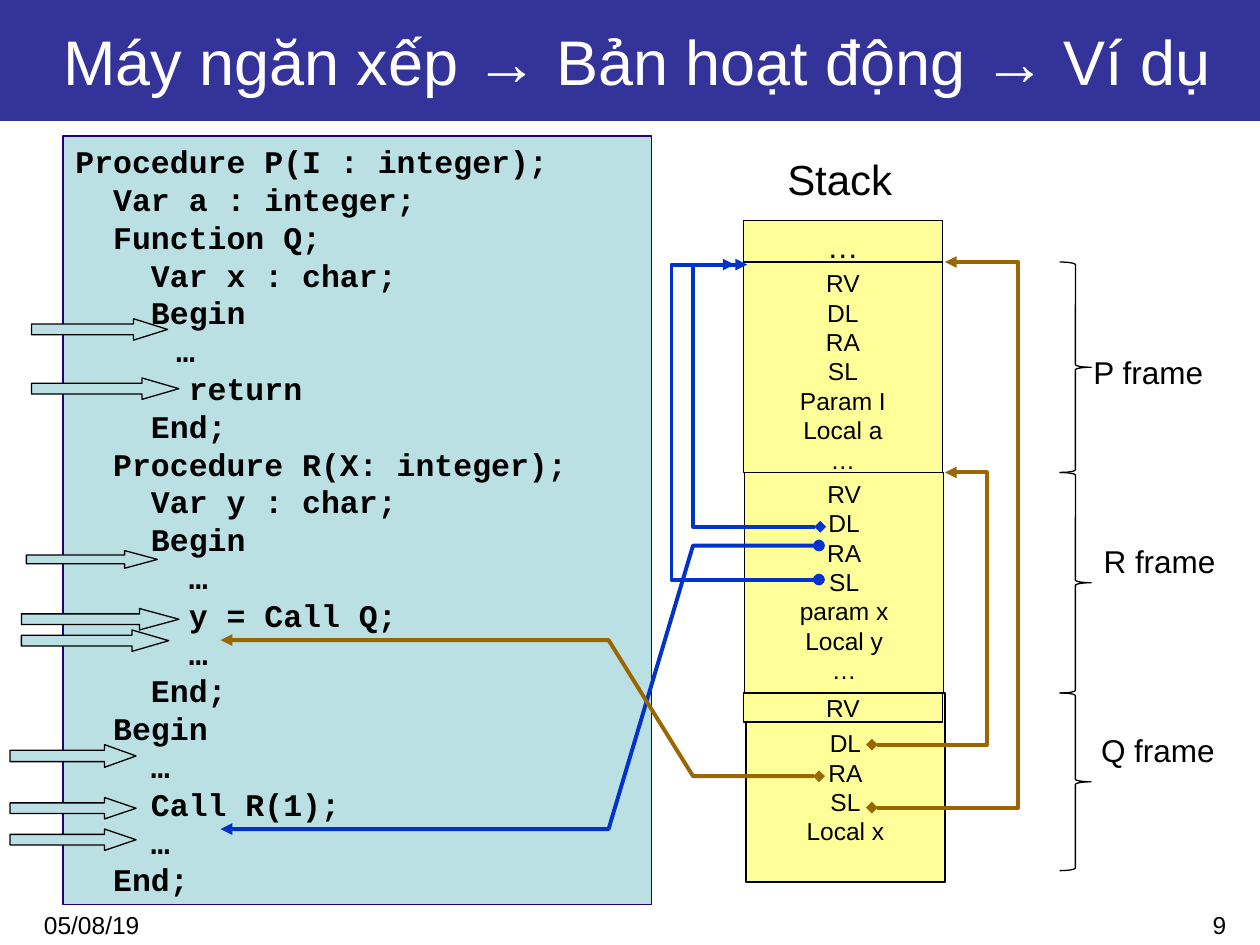
"""Build the stack machine activation record slide."""
from lxml.etree import SubElement
from pptx import Presentation
from pptx.dml.color import RGBColor
from pptx.enum.shapes import MSO_SHAPE as SHAPE
from pptx.enum.text import MSO_ANCHOR as ANCHOR, PP_ALIGN as ALIGN
from pptx.oxml.ns import qn
from pptx.util import Inches, Pt

rgb = RGBColor.from_string


def paint(s, fill=None, line="000000", width=0.75):
    s.shadow.inherit = False
    if fill:
        s.fill.solid()
        s.fill.fore_color.rgb = rgb(fill)
    else:
        s.fill.background()
    s.line.color.rgb = rgb(line)
    s.line.width = Pt(width)


def write(s, text, size, align=ALIGN.LEFT, font="Arial", bold=False, wrap=True, top=0.05):
    tf = s.text_frame
    tf.word_wrap = wrap
    tf.vertical_anchor = ANCHOR.TOP
    tf.margin_top = Inches(top)
    for i, line in enumerate(text.split("\n")):
        p = tf.add_paragraph() if i else tf.paragraphs[0]
        p.text = line
        p.alignment = align
        if "\t" in line:
            tabs = SubElement(p._p.get_or_add_pPr(), qn("a:tabLst"))
            SubElement(tabs, qn("a:tab"), pos=str(Inches(0.5)), algn="l")
        p.font.name = font
        p.font.size = Pt(size)
        p.font.bold = bold
        p.font.color.rgb = rgb("000000")


prs = Presentation()
prs.slide_width, prs.slide_height = Inches(10), Inches(7.5)
slide = prs.slides.add_slide(prs.slide_layouts[5])
sp = slide.shapes

title = sp.title
title.left, title.top, title.width, title.height = 0, 0, Inches(10), Inches(0.96)
title.fill.solid()
title.fill.fore_color.rgb = rgb("333399")
tf = title.text_frame
tf.text = "Máy ngăn xếp → Bản hoạt động → Ví dụ"
tf.margin_left = Inches(0.5)
tf.vertical_anchor = ANCHOR.MIDDLE
p = tf.paragraphs[0]
p.alignment = ALIGN.LEFT
p.font.name = "Arial"
p.font.size = Pt(36)
p.font.color.rgb = rgb("FFFFFF")

code = """Procedure P(I : integer);
  Var a : integer;
  Function Q;
    Var x : char;
    Begin
\t  …
      return
    End;
  Procedure R(X: integer);
    Var y : char;
    Begin
      …
      y = Call Q;
      …
    End;
  Begin
    …
    Call R(1);
    …
  End;"""
s = sp.add_shape(SHAPE.RECTANGLE, Inches(0.5), Inches(1.08), Inches(4.67), Inches(6.1))
paint(s, "BBE0E3", "270076")
write(s, code, 18, font="Courier New", bold=True)

step_arrows = [
    (0.25, 2.53, 1.08, 0.17), (0.25, 3, 1.17, 0.17), (0.21, 4.37, 1.04, 0.14),
    (0.17, 4.83, 1.25, 0.17), (0.17, 5, 1.17, 0.17), (0.08, 5.91, 1, 0.18),
    (0.08, 6.33, 1, 0.17), (0.08, 6.58, 1, 0.17),
]
for x, y, w, h in step_arrows:
    s = sp.add_shape(SHAPE.RIGHT_ARROW, Inches(x), Inches(y), Inches(w), Inches(h))
    s.adjustments[1] = w / 4 / h
    paint(s, "BBE0E3")

stack_cells = [
    (5.9, 1.75, 0.33, "…", 18, 0.05),
    (5.9, 2.08, 1.67, "RV\nDL\nRA\nSL\nParam I\nLocal a\n…", 14, 0.05),
    (5.91, 3.75, 1.75, "RV\nDL\nRA\nSL\nparam x\nLocal y\n…", 14, 0.05),
    (5.92, 5.5, 1.5, "DL\nRA\nSL\nLocal x", 14, 0.28),
    (5.9, 5.5, 0.23, "RV", 14, 0),
]
for x, y, h, text, size, top in stack_cells:
    s = sp.add_shape(SHAPE.RECTANGLE, Inches(x), Inches(y), Inches(1.58), Inches(h))
    paint(s, "FFFF99")
    write(s, text, size, ALIGN.CENTER, top=top)
    s.text_frame.margin_bottom = Inches(min(top, 0.05))

for y, h in [(2.08, 1.67), (3.75, 1.75), (5.5, 1.41)]:
    s = sp.add_shape(SHAPE.RIGHT_BRACE, Inches(8.41), Inches(y), Inches(0.25), Inches(h))
    paint(s)

labels = [
    (6, 1.17, 1.33, 0.5, "Stack", 24, ALIGN.CENTER, True),
    (8.58, 2.75, 1.07, 0.4, "P frame", 18, ALIGN.LEFT, False),
    (8.66, 4.25, 1.09, 0.4, "R frame", 18, ALIGN.LEFT, False),
    (8.64, 5.75, 1.1, 0.4, "Q frame", 18, ALIGN.LEFT, False),
    (0.25, 7.17, 1.92, 0.33, "05/08/19", 14, ALIGN.LEFT, True),
    (7.75, 7.17, 2.08, 0.24, "9", 14, ALIGN.RIGHT, True),
]
for x, y, w, h, text, size, align, wrap in labels:
    s = sp.add_textbox(Inches(x), Inches(y), Inches(w), Inches(h))
    write(s, text, size, align, wrap=wrap)

blue, brown = "0033CC", "996600"
links = [
    (blue, "diamond", [(6.51, 4.18), (5.5, 4.18), (5.5, 2.1), (5.93, 2.1)]),
    (blue, "oval", [(6.5, 4.6), (5.33, 4.6), (5.33, 2.1), (5.83, 2.1)]),
    (blue, "oval", [(6.5, 4.33), (5.5, 4.33), (4.83, 6.58), (1.75, 6.58)]),
    (brown, "diamond", [(6.5, 6.16), (5.5, 6.16), (4.83, 5.08), (1.75, 5.08)]),
    (brown, "diamond", [(6.92, 5.91), (7.83, 5.91), (7.83, 3.75), (7.5, 3.75)]),
    (brown, "diamond", [(6.92, 6.41), (8.08, 6.41), (8.08, 2.08), (7.5, 2.08)]),
]
for color, head, points in links:
    start, *rest = [(Inches(x), Inches(y)) for x, y in points]
    path = sp.build_freeform(*start)
    path.add_line_segments(rest, close=False)
    s = path.convert_to_shape()
    paint(s, line=color, width=2.25)
    ln = s.line._get_or_add_ln()
    SubElement(ln, qn("a:headEnd"), type=head)
    SubElement(ln, qn("a:tailEnd"), type="triangle")

prs.save("out.pptx")
